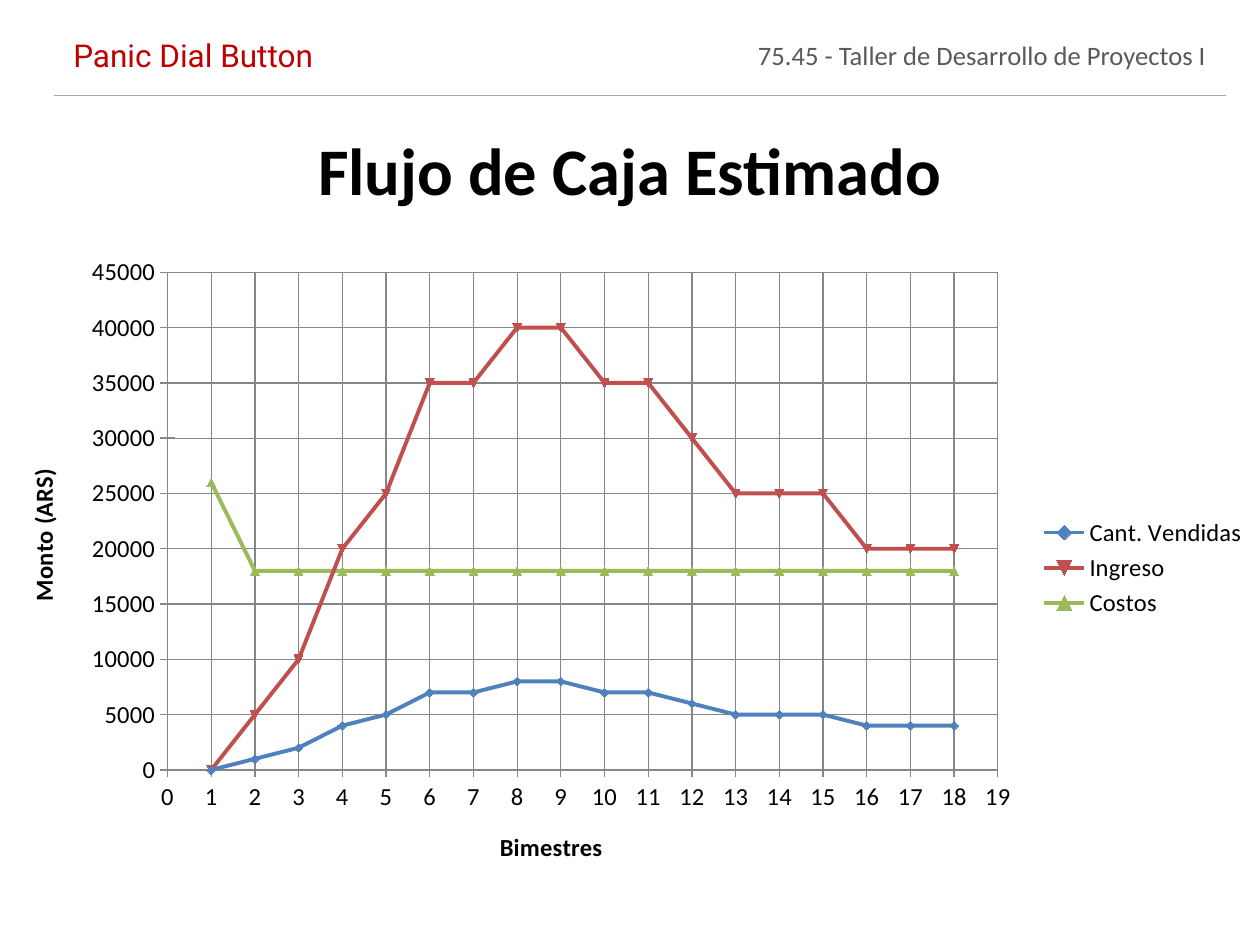
import pptx
import pptx.util
import pptx.chart.data
import pptx.dml.color
import pptx.enum.chart
import pptx.enum.shapes
import pptx.enum.text
import pptx.oxml
import pptx.oxml.ns
from lxml import etree

Cm, Pt = pptx.util.Cm, pptx.util.Pt
RGB = pptx.dml.color.RGBColor
Anchor = pptx.enum.text.MSO_ANCHOR
Marker = pptx.enum.chart.XL_MARKER_STYLE
qn = pptx.oxml.ns.qn

BLACK, RED, GRAY = RGB(0, 0, 0), RGB(0xC0, 0, 0), RGB(0x59, 0x59, 0x59)
RULE, GRID, WHITE = RGB(0xA6, 0xA6, 0xA6), RGB(0x86, 0x86, 0x86), RGB(255, 255, 255)
BLUE, BRICK, GREEN = RGB(0x4F, 0x81, 0xBD), RGB(0xC0, 0x50, 0x4D), RGB(0x9B, 0xBB, 0x59)

# Content: text, box in cm, font, size, colour, bold, anchor
TEXTS = [
    ("75.45 - Taller de Desarrollo de Proyectos I", (14.3, 0.66, 11, 1.07),
     "Calibri", 15.2, GRAY, False, Anchor.TOP),
    ("Flujo de Caja Estimado", (2.82, 2.31, 19.76, 2.21),
     "Calibri", 38, BLACK, True, Anchor.MIDDLE),
    ("Panic Dial Button", (0.1, 0.71, 7.59, 0.81),
     "Roboto", 18, RED, False, Anchor.MIDDLE),
]
# Amounts in thousands for each two-month period
SERIES = [
    ("Cant. Vendidas", [0, 1, 2, 4, 5, 7, 7, 8, 8, 7, 7, 6, 5, 5, 5, 4, 4, 4],
     BLUE, Marker.DIAMOND),
    ("Ingreso", [0, 5, 10, 20, 25, 35, 35, 40, 40, 35, 35, 30, 25, 25, 25, 20, 20, 20],
     BRICK, Marker.AUTOMATIC),
    ("Costos", [26] + [18] * 17, GREEN, Marker.TRIANGLE),
]

prs = pptx.Presentation()
prs.slide_width, prs.slide_height = Cm(25.4), Cm(19.05)
slide = prs.slides.add_slide(prs.slide_layouts[6])

# Header and title
for text, box, font, size, color, bold, anchor in TEXTS:
    tf = slide.shapes.add_textbox(*map(Cm, box)).text_frame
    tf.word_wrap = True
    tf.vertical_anchor = anchor
    p = tf.paragraphs[0]
    p.alignment = pptx.enum.text.PP_ALIGN.CENTER
    r = p.add_run()
    r.text = text
    r.font.name, r.font.size, r.font.bold = font, Pt(size), bold
    r.font.color.rgb = color

# Header rule
rule = slide.shapes.add_connector(
    pptx.enum.shapes.MSO_CONNECTOR.STRAIGHT, Cm(1.09), Cm(1.93), Cm(24.71), Cm(1.93))
rule.line.color.rgb, rule.line.width = RULE, Pt(0.75)
etree.SubElement(rule.element.spPr, qn("a:effectLst"))

# Cash flow chart
data = pptx.chart.data.XyChartData()
for name, amounts, _, _ in SERIES:
    s = data.add_series(name)
    for period, amount in enumerate(amounts, 1):
        s.add_data_point(period, amount * 1000)
chart = slide.shapes.add_chart(
    pptx.enum.chart.XL_CHART_TYPE.XY_SCATTER_SMOOTH,
    Cm(0), Cm(4.93), Cm(25.4), Cm(13.03), data).chart
chart.has_title = False
chart.font.name, chart.font.size = "Calibri", Pt(14)
chart.font.color.rgb = BLACK
chart.has_legend = True
chart.legend.position = pptx.enum.chart.XL_LEGEND_POSITION.RIGHT
chart.legend.include_in_layout = False
chart.legend.font.size = Pt(14)

plot = chart.plots[0]
plot.vary_by_categories = False
for s, (_, _, color, marker) in zip(plot.series, SERIES):
    s.smooth = True
    s.format.line.color.rgb, s.format.line.width = color, Pt(2.25)
    s.marker.style, s.marker.size = marker, 5
    s.marker.format.fill.solid()
    s.marker.format.fill.fore_color.rgb = color
    s.marker.format.line.color.rgb = color

# Axes
for axis, title, top, step in ((chart.category_axis, "Bimestres", 19, 1),
                               (chart.value_axis, "Monto (ARS)", 45000, 5000)):
    axis.minimum_scale, axis.maximum_scale, axis.major_unit = 0, top, step
    axis.major_tick_mark = pptx.enum.chart.XL_TICK_MARK.CROSS
    axis.has_major_gridlines = True
    for line in (axis.major_gridlines.format.line, axis.format.line):
        line.color.rgb, line.width = GRID, Pt(0.75)
    axis.tick_labels.font.size = Pt(14)
    axis.tick_labels.number_format = "0"
    axis.tick_labels.number_format_is_linked = False
    r = axis.axis_title.text_frame.paragraphs[0].add_run()
    r.text = title
    r.font.name, r.font.size, r.font.bold = "Calibri", Pt(14), True
    r.font.color.rgb = BLACK

# Plot area: inner position and pale fill
area = chart.element.find(".//" + qn("c:plotArea"))
for old in area.findall(qn("c:layout")):
    area.remove(old)
layout = etree.Element(qn("c:layout"))
manual = etree.SubElement(layout, qn("c:manualLayout"))
for tag, val in (("layoutTarget", "inner"), ("xMode", "edge"), ("yMode", "edge"),
                 ("x", "0.133"), ("y", "0.043"), ("w", "0.659"), ("h", "0.77")):
    etree.SubElement(manual, qn("c:" + tag)).set("val", val)
area.insert(0, layout)
fill = etree.SubElement(etree.SubElement(area, qn("c:spPr")), qn("a:solidFill"))
white = etree.SubElement(fill, qn("a:srgbClr"))
white.set("val", str(WHITE))
etree.SubElement(white, qn("a:alpha")).set("val", "40000")

prs.save("out.pptx")
